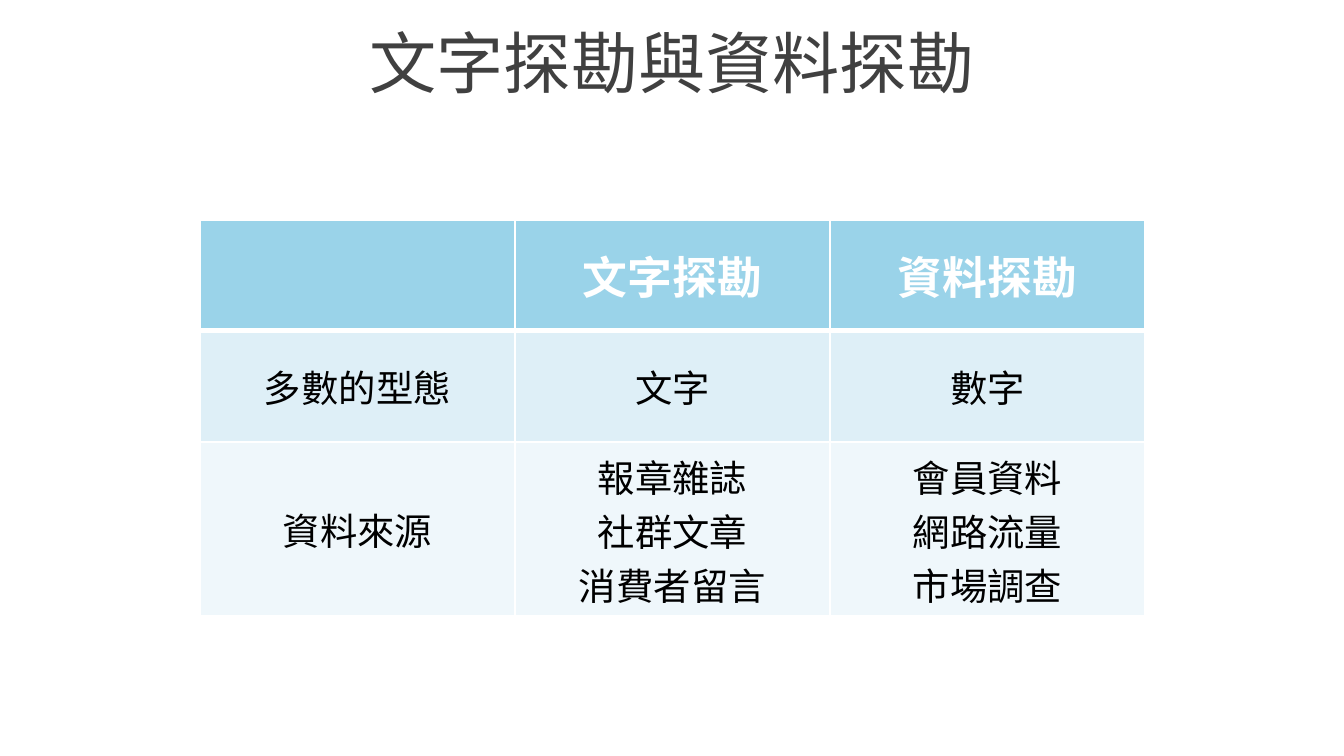
from pptx import Presentation
from pptx.dml.color import RGBColor
from pptx.enum.text import MSO_ANCHOR as Anchor, PP_ALIGN as Align
from pptx.oxml import parse_xml
from pptx.oxml.ns import nsdecls
from pptx.util import Pt

PX = 914400 / 134.4
FONT = "Noto Sans CJK SC"


def px(*lengths):
    return [round(length * PX) for length in lengths]


def write(frame, lines, size, color, bold=False):
    """Fill a text frame with centred lines in one font."""
    frame.text = "\n".join(lines)
    frame.word_wrap = True
    for paragraph in frame.paragraphs:
        paragraph.alignment = Align.CENTER
        font = paragraph.font
        font.name, font.size, font.bold = FONT, Pt(size), bold
        font.color.rgb = RGBColor.from_string(color)
        east_asian = parse_xml(f'<a:ea {nsdecls("a")} typeface="{FONT}"/>')
        paragraph._p.pPr.find(".//{*}latin").addnext(east_asian)


deck = Presentation()
deck.slide_width, deck.slide_height = px(1344, 756)
slide = deck.slides.add_slide(deck.slide_layouts[6])

title = slide.shapes.add_textbox(*px(0, 19, 1344, 85)).text_frame
title.vertical_anchor = Anchor.MIDDLE
write(title, ["文字探勘與資料探勘"], 36, "404040")

comparison = [
    [[], ["文字探勘"], ["資料探勘"]],
    [["多數的型態"], ["文字"], ["數字"]],
    [["資料來源"], ["報章雜誌", "社群文章", "消費者留言"],
     ["會員資料", "網路流量", "市場調查"]],
]
row_heights = px(111, 111, 174)
row_fills = ["9AD3E9", "DEEFF7", "EFF7FB"]

table = slide.shapes.add_table(3, 3, *px(200, 220, 945, 396)).table
table.first_row = table.horz_banding = False
for column in table.columns:
    column.width = px(315)[0]

for r, entries in enumerate(comparison):
    table.rows[r].height = row_heights[r]
    is_header = r == 0
    # The rule under the header is heavier than the other grid lines.
    borders = {"L": 1, "R": 1, "T": 3 if r == 1 else 1, "B": 3 if is_header else 1}
    for c, lines in enumerate(entries):
        cell = table.cell(r, c)
        cell.vertical_anchor = Anchor.MIDDLE
        for side, width in borders.items():
            cell._tc.get_or_add_tcPr().append(parse_xml(
                f'<a:ln{side} {nsdecls("a")} w="{Pt(width)}"><a:solidFill>'
                f'<a:srgbClr val="FFFFFF"/></a:solidFill></a:ln{side}>'))
        cell.fill.solid()
        cell.fill.fore_color.rgb = RGBColor.from_string(row_fills[r])
        if is_header:
            write(cell.text_frame, lines, 24, "FFFFFF", bold=True)
        else:
            write(cell.text_frame, lines, 20, "000000")

deck.save("out.pptx")
